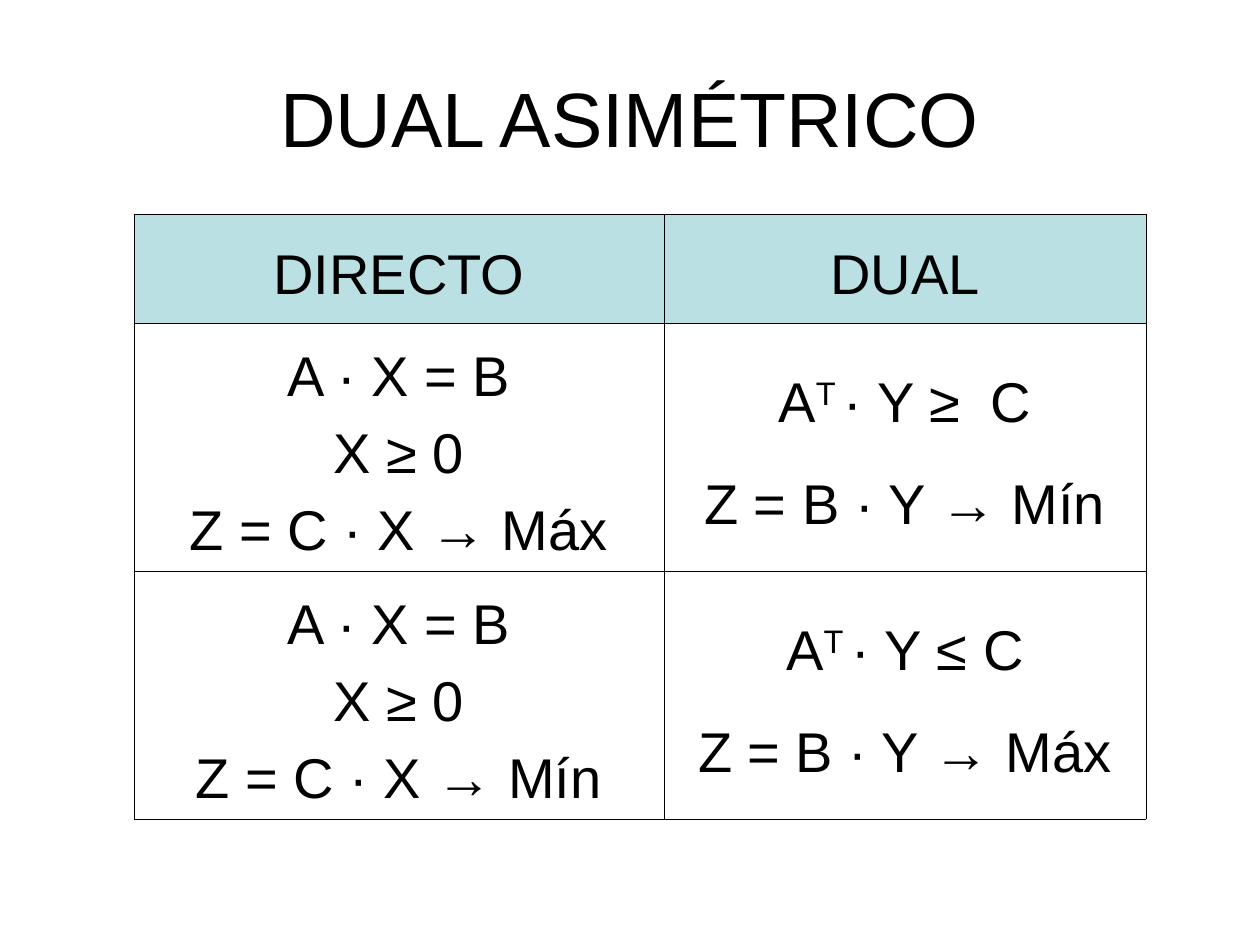
from lxml import etree
from pptx import Presentation
from pptx import util as u
from pptx.dml.color import RGBColor
from pptx.enum import text
from pptx.oxml.ns import qn

PX_PER_INCH = 126
FONT = "Arial"
BLACK = "000000"
HEADER_FILL = "BBE0E3"
BORDER_WIDTH = u.Pt(0.45)
LINE_GAP = 8
BLOCK_GAP = 22

COLUMN_WIDTHS = (530, 482)
ROW_HEIGHTS = (109, 248, 248)


def px(length):
    return u.Emu(round(length * u.Inches(1) / PX_PER_INCH))


def color(hex_value):
    return RGBColor.from_string(hex_value)


def write_text(frame, lines, size=32, gap=LINE_GAP):
    """Write centred lines; each line is a list of (text, baseline percent) runs."""
    for index, line in enumerate(lines):
        paragraph = frame.paragraphs[0] if index == 0 else frame.add_paragraph()
        paragraph.alignment = text.PP_ALIGN.CENTER
        paragraph.space_before = u.Pt(gap if index else 0)
        for content, baseline in line:
            run = paragraph.add_run()
            run.text = content
            run.font.name = FONT
            run.font.size = u.Pt(size)
            run.font.color.rgb = color(BLACK)
            if baseline:
                run.font._element.set("baseline", str(baseline * 1000))


def plain(*lines):
    return [[(line, 0)] for line in lines]


def direct_problem(goal):
    return plain("A · X = B", "X ≥ 0", f"Z = C · X → {goal}")


def dual_problem(constraint, goal):
    return [[("A", 0), ("T ", 30), (constraint, 0)], *plain(f"Z = B · Y → {goal}")]


def add_borders(cell):
    properties = cell._tc.get_or_add_tcPr()
    for position, side in enumerate(("a:lnL", "a:lnR", "a:lnT", "a:lnB")):
        line = etree.Element(qn(side), w=str(BORDER_WIDTH))
        fill = etree.SubElement(line, qn("a:solidFill"))
        etree.SubElement(fill, qn("a:srgbClr"), val=BLACK)
        properties.insert(position, line)


def fill_cell(cell, lines, gap=LINE_GAP, fill=None):
    cell.vertical_anchor = text.MSO_ANCHOR.MIDDLE
    cell.margin_left = cell.margin_right = u.Inches(0.1)
    cell.margin_top = u.Inches(0.05) + u.Pt(LINE_GAP)
    cell.margin_bottom = u.Inches(0.05)
    if fill:
        cell.fill.solid()
        cell.fill.fore_color.rgb = color(fill)
    else:
        cell.fill.background()
    add_borders(cell)
    write_text(cell.text_frame, lines, gap=gap)


def add_title(slide, content):
    title = slide.shapes.title
    title.left, title.top, title.width, title.height = map(px, (63, 38, 1134, 158))
    title.text_frame.vertical_anchor = text.MSO_ANCHOR.MIDDLE
    write_text(title.text_frame, plain(content), size=44)


def add_problem_table(slide):
    rows = (
        (direct_problem("Máx"), dual_problem("· Y ≥  C", "Mín")),
        (direct_problem("Mín"), dual_problem("· Y ≤ C", "Máx")),
    )
    frame = slide.shapes.add_table(
        len(ROW_HEIGHTS), len(COLUMN_WIDTHS), px(134), px(214),
        px(sum(COLUMN_WIDTHS)), px(sum(ROW_HEIGHTS)))
    table = frame.table
    table.first_row = table.horz_banding = False
    for column, width in zip(table.columns, COLUMN_WIDTHS):
        column.width = px(width)
    for row, height in zip(table.rows, ROW_HEIGHTS):
        row.height = px(height)
    for column, heading in enumerate(("DIRECTO", "DUAL")):
        fill_cell(table.cell(0, column), plain(heading), fill=HEADER_FILL)
    for row, (direct, dual) in enumerate(rows, start=1):
        fill_cell(table.cell(row, 0), direct)
        fill_cell(table.cell(row, 1), dual, gap=BLOCK_GAP)


def main():
    presentation = Presentation()
    presentation.slide_width = u.Inches(10)
    presentation.slide_height = u.Inches(7.5)
    slide = presentation.slides.add_slide(presentation.slide_layouts[5])
    add_title(slide, "DUAL ASIMÉTRICO")
    add_problem_table(slide)
    presentation.save("out.pptx")


if __name__ == "__main__":
    main()
